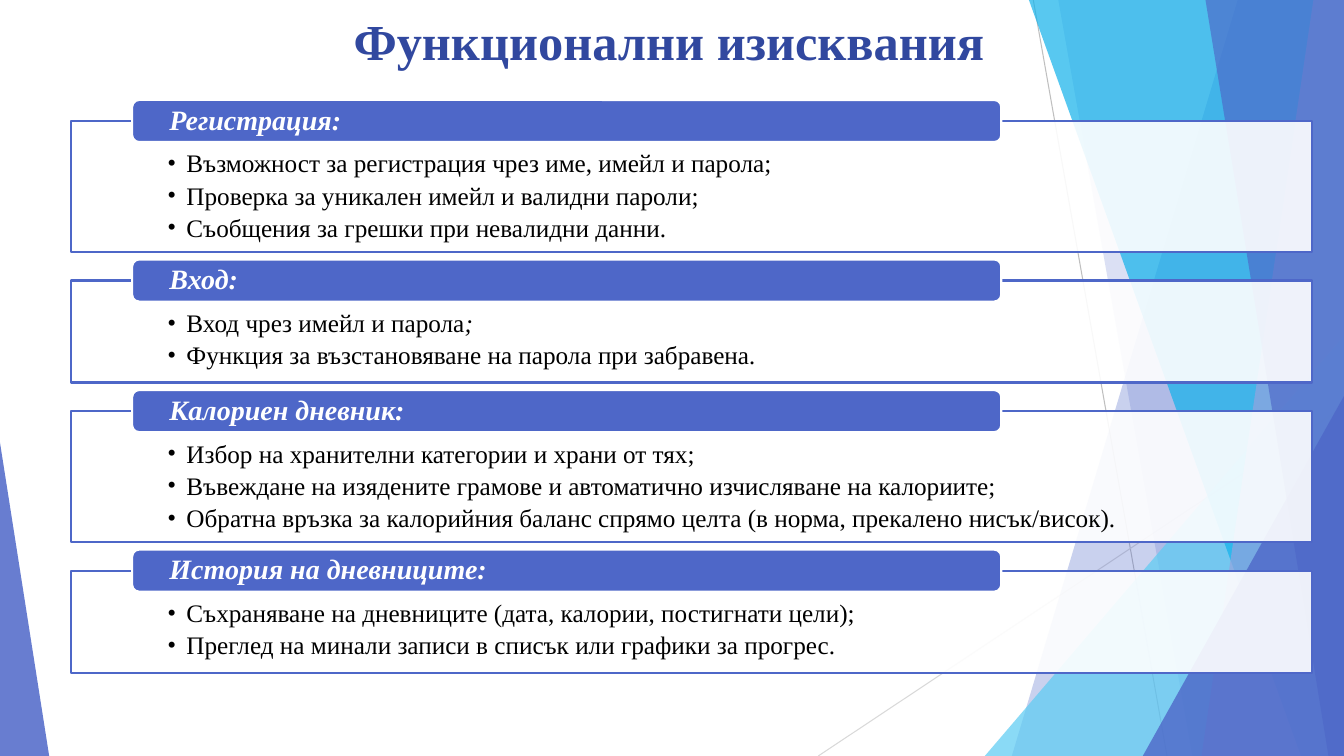
from lxml import etree
from pptx import Presentation
from pptx import util as u
from pptx.dml.color import RGBColor
from pptx.enum import shapes, text
from pptx.oxml.ns import qn

BLUE = RGBColor(0x4E, 0x67, 0xC8)
LIGHT_BLUE = RGBColor(0x95, 0xA4, 0xDE)
CYAN = RGBColor(0x12, 0xB2, 0xEB)
LIGHT_CYAN = RGBColor(0x5E, 0xCC, 0xF3)
TITLE_BLUE = RGBColor(0x31, 0x48, 0x9F)
GRAY = RGBColor(0xBF, 0xBF, 0xBF)
LIGHT_GRAY = RGBColor(0xD9, 0xD9, 0xD9)
WHITE = RGBColor(0xFF, 0xFF, 0xFF)
BLACK = RGBColor(0, 0, 0)

FONT = "Times New Roman"
WIDTH, HEIGHT = 33.87, 19.05

# Heading, then bullets as (text, italic ending)
SECTIONS = [
    ("Регистрация:", [
        ("Възможност за регистрация чрез име, имейл и парола;", ""),
        ("Проверка за уникален имейл и валидни пароли;", ""),
        ("Съобщения за грешки при невалидни данни.", "")]),
    ("Вход:", [
        ("Вход чрез имейл и парола", ";"),
        ("Функция за възстановяване на парола при забравена", ".")]),
    ("Калориен дневник:", [
        ("Избор на хранителни категории и храни от тях;", ""),
        ("Въвеждане на изядените грамове и автоматично изчисляване на калориите;", ""),
        ("Обратна връзка за калорийния баланс спрямо целта "
         "(в норма, прекалено нисък/висок).", "")]),
    ("История на дневниците:", [
        ("Съхраняване на дневниците (дата, калории, постигнати цели);", ""),
        ("Преглед на минали записи в списък или графики за прогрес.", "")]),
]


def style(sp, fill, alpha=100, line=None):
    sp.shadow.inherit = False
    sp.fill.solid()
    sp.fill.fore_color.rgb = fill
    if alpha < 100:
        color = sp.fill._xPr.find(qn("a:solidFill"))[0]
        etree.SubElement(color, qn("a:alpha"), val=str(alpha * 1000))
    if line is None:
        sp.line.fill.background()
    else:
        sp.line.color.rgb = line
        sp.line.width = u.Pt(1.5)


def add_run(p, words, size, color, bold=False, italic=False):
    r = p.add_run()
    r.text = words
    r.font.name = FONT
    r.font.size = u.Pt(size)
    r.font.color.rgb = color
    r.font.bold = bold
    r.font.italic = italic


def set_frame(tf, left, top, right, bottom, anchor):
    tf.word_wrap = True
    tf.margin_left, tf.margin_top = u.Cm(left), u.Cm(top)
    tf.margin_right, tf.margin_bottom = u.Cm(right), u.Cm(bottom)
    tf.vertical_anchor = anchor


def add_bullet(p):
    p.alignment = text.PP_ALIGN.LEFT
    p.line_spacing = 0.9
    p.space_after = u.Pt(3.5)
    pPr = p._p.get_or_add_pPr()
    indent = u.Cm(0.48)
    pPr.set("marL", str(indent))
    pPr.set("indent", str(-indent))
    etree.SubElement(pPr, qn("a:buFont"), typeface=FONT)
    etree.SubElement(pPr, qn("a:buChar"), char="•")


def add_backdrop(slide, width, height):
    def ray(x1, y1, x2, y2, color):
        line = slide.shapes.add_connector(
            shapes.MSO_CONNECTOR.STRAIGHT, u.Cm(x1), u.Cm(y1), u.Cm(x2), u.Cm(y2))
        line.line.color.rgb = color
        line.line.width = u.Pt(0.75)
        etree.SubElement(line._element.spPr, qn("a:effectLst"))

    def band(top_x, bottom_x, color, alpha):
        fb = slide.shapes.build_freeform(u.Cm(top_x), 0)
        fb.add_line_segments([(u.Cm(x), u.Cm(y)) for x, y in
                              ((width, 0), (width, height), (bottom_x, height))])
        style(fb.convert_to_shape(), color, alpha)

    def corner(left, top, right, apex, color, alpha):
        sp = slide.shapes.add_shape(
            shapes.MSO_SHAPE.ISOSCELES_TRIANGLE, u.Cm(left), u.Cm(top),
            u.Cm(right - left), u.Cm(height - top))
        sp.adjustments[0] = apex
        style(sp, color, alpha)

    ray(26.04, 0, 29.41, height, GRAY)
    ray(width, 10.24, 20.62, height, LIGHT_GRAY)
    band(31.19, 25.5, BLUE, 30)
    band(26.67, 30.05, BLUE, 20)
    corner(24.82, 8.46, width, 1, LIGHT_CYAN, 72)
    band(25.93, 32.79, CYAN, 70)
    band(33.1, 30.28, LIGHT_BLUE, 70)
    band(30.38, 33.48, BLUE, 65)
    corner(28.8, 9.98, width, 1, BLUE, 80)
    corner(0, 11.15, 1.24, 0, BLUE, 85)


def add_title(slide, left, top, width, height):
    tf = slide.shapes.add_textbox(
        u.Cm(left), u.Cm(top), u.Cm(width), u.Cm(height)).text_frame
    set_frame(tf, 0.25, 0.25, 0, 0, text.MSO_ANCHOR.TOP)
    add_run(tf.paragraphs[0], "Функционални изисквания", 36, TITLE_BLUE, bold=True)


def add_section(slide, left, top, width, height, heading, bullets):
    # Framed list
    sp = slide.shapes.add_shape(shapes.MSO_SHAPE.RECTANGLE, u.Cm(left), u.Cm(top),
                                u.Cm(width), u.Cm(height))
    style(sp, WHITE, 90, BLUE)
    tf = sp.text_frame
    set_frame(tf, 2.44, 0.76, 2.44, 0.36, text.MSO_ANCHOR.TOP)
    for i, (words, ending) in enumerate(bullets):
        p = tf.add_paragraph() if i else tf.paragraphs[0]
        add_bullet(p)
        add_run(p, words, 18, BLACK)
        if ending:
            add_run(p, ending, 18, BLACK, italic=True)

    # Heading tab over the top edge
    tab_height = 1.06
    sp = slide.shapes.add_shape(
        shapes.MSO_SHAPE.ROUNDED_RECTANGLE, u.Cm(left + 1.55),
        u.Cm(top - tab_height / 2), u.Cm(0.7 * width), u.Cm(tab_height))
    style(sp, BLUE, line=WHITE)
    set_frame(sp.text_frame, 0.89, 0, 0.89, 0, text.MSO_ANCHOR.MIDDLE)
    p = sp.text_frame.paragraphs[0]
    p.alignment = text.PP_ALIGN.LEFT
    p.line_spacing = 0.9
    add_run(p, heading, 20, WHITE, bold=True, italic=True)


def add_sections(slide, left, top, width):
    gap = 0.72
    for heading, bullets in SECTIONS:
        height = 1.11 + 0.73 * len(bullets)
        add_section(slide, left, top, width, height, heading, bullets)
        top += height + gap


def main():
    prs = Presentation()
    prs.slide_width, prs.slide_height = u.Cm(WIDTH), u.Cm(HEIGHT)
    slide = prs.slides.add_slide(prs.slide_layouts[6])
    add_backdrop(slide, WIDTH, HEIGHT)
    add_title(slide, 8.66, 0, 16.54, 1.6)
    add_sections(slide, 1.78, 3.05, 31.29)
    prs.save("out.pptx")


if __name__ == "__main__":
    main()
